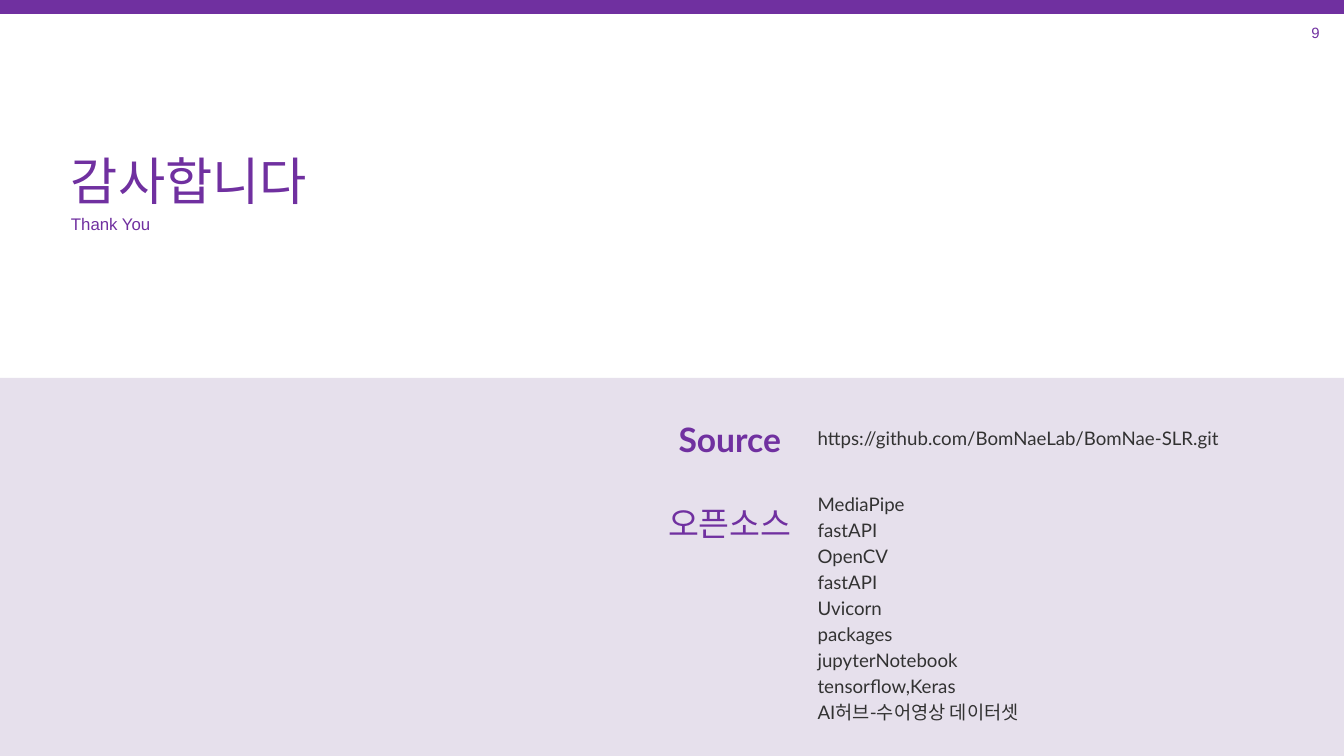
"""Build the closing slide with the thank-you title and project sources."""
from dataclasses import dataclass
from typing import Any

from pptx import Presentation
from pptx.dml.color import RGBColor
from pptx.enum.shapes import MSO_SHAPE
from pptx.enum.text import MSO_ANCHOR, MSO_AUTO_SIZE, PP_ALIGN
from pptx.util import Pt

RECTANGLE = MSO_SHAPE.RECTANGLE
MIDDLE = MSO_ANCHOR.MIDDLE
NO_AUTOFIT = MSO_AUTO_SIZE.NONE
LEFT, CENTER, RIGHT = PP_ALIGN.LEFT, PP_ALIGN.CENTER, PP_ALIGN.RIGHT

WIDTH, HEIGHT = 1440, 810
LABEL_LEFT, LABEL_WIDTH = 704, 156
VALUE_LEFT = 876
ROW_HEIGHT = 84
GITHUB_TOP, OPEN_SOURCE_TOP = 425, 515

OPEN_SOURCES = [
    "MediaPipe",
    "fastAPI",
    "OpenCV",
    "fastAPI",
    "Uvicorn",
    "packages",
    "jupyterNotebook",
    "tensorflow,Keras",
    "AI허브-수어영상 데이터셋",
]


def color(value):
    return RGBColor.from_string(value)


@dataclass
class SlideBuilder:
    slide: Any
    accent: str = "7030A0"
    panel: str = "E6E0EC"
    body: str = "323232"
    heading_font: str = "Calibri"
    caption_font: str = "Arial"
    text_font: str = "Lato"

    def rectangle(self, top, height, fill):
        shape = self.slide.shapes.add_shape(RECTANGLE, 0, Pt(top), Pt(WIDTH), Pt(height))
        shape.shadow.inherit = False
        shape.fill.solid()
        shape.fill.fore_color.rgb = color(fill)
        shape.line.fill.background()

    def format_text(self, shape, text, size, font, fill, align=LEFT, spacing=1.16, bold=False):
        frame = shape.text_frame
        frame.text = text
        frame.word_wrap = True
        frame.auto_size = NO_AUTOFIT
        frame.vertical_anchor = MIDDLE
        frame.margin_left = frame.margin_right = frame.margin_top = frame.margin_bottom = 0
        for paragraph in frame.paragraphs:
            paragraph.alignment = align
            paragraph.line_spacing = spacing
            for run in paragraph.runs:
                run.font.name = font
                run.font.size = Pt(size)
                run.font.bold = bold
                run.font.color.rgb = color(fill)

    def title(self, left, top, width, height, text):
        shape = self.slide.shapes.title
        shape.left, shape.top = Pt(left), Pt(top)
        shape.width, shape.height = Pt(width), Pt(height)
        self.format_text(shape, text, 55, self.heading_font, self.accent)

    def text(self, left, top, width, height, text, size, font, fill, **style):
        shape = self.slide.shapes.add_textbox(Pt(left), Pt(top), Pt(width), Pt(height))
        self.format_text(shape, text, size, font, fill, **style)

    def caption(self, left, top, width, height, text, size, align=LEFT):
        self.text(left, top, width, height, text, size, self.caption_font, self.accent,
                  align=align, spacing=0.95)

    def label(self, top, text, bold=False):
        self.text(LABEL_LEFT, top, LABEL_WIDTH, ROW_HEIGHT, text, 36, self.text_font,
                  self.accent, align=CENTER, bold=bold)

    def value(self, top, width, height, text):
        self.text(VALUE_LEFT, top, width, height, text, 20, self.text_font, self.body)


def main():
    presentation = Presentation()
    presentation.slide_width, presentation.slide_height = Pt(WIDTH), Pt(HEIGHT)
    builder = SlideBuilder(presentation.slides.add_slide(presentation.slide_layouts[5]))

    builder.title(76, 149, 512, 77, "감사합니다")
    builder.caption(76, 228, 409, 25, "Thank You", 18)
    builder.caption(1371, 24, 43, 23, "9", 16, RIGHT)

    builder.rectangle(0, 15, builder.accent)
    builder.rectangle(HEIGHT / 2, HEIGHT / 2, builder.panel)

    builder.label(GITHUB_TOP, "Source", bold=True)
    builder.value(GITHUB_TOP, 552, ROW_HEIGHT, "https://github.com/BomNaeLab/BomNae-SLR.git")
    builder.label(OPEN_SOURCE_TOP, "오픈소스")
    builder.value(OPEN_SOURCE_TOP, 538, 268.5, "\n".join(OPEN_SOURCES))

    presentation.save("out.pptx")


if __name__ == "__main__":
    main()
